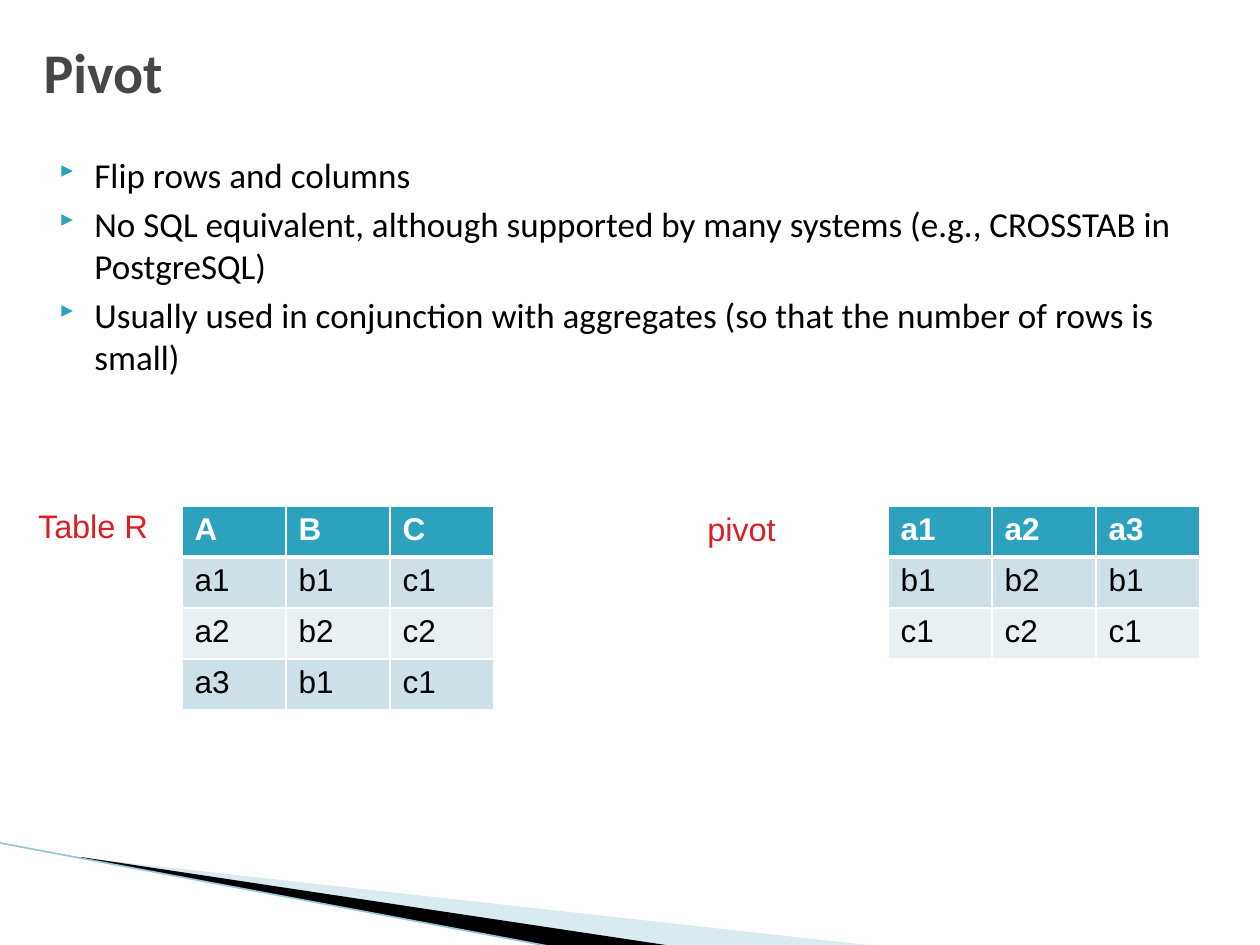
from lxml.etree import SubElement
from pptx import Presentation
from pptx.dml.color import RGBColor
from pptx.enum.shapes import MSO_CONNECTOR
from pptx.enum.text import MSO_ANCHOR, MSO_AUTO_SIZE, PP_ALIGN
from pptx.oxml.ns import qn
from pptx.util import Pt

PX = 914400 / 126
COLORS = {
    "accent": "2DA2BF", "title": "464646", "text": "000000", "label": "DA1F28",
    "white": "FFFFFF", "band_dark": "CDE0E8", "band_light": "E8F0F4",
    "swoosh": "A0CBDC", "edge": "97C5D8",
}
BULLETS = [
    "Flip rows and columns",
    "No SQL equivalent, although supported by many systems (e.g., CROSSTAB in PostgreSQL)",
    "Usually used in conjunction with aggregates (so that the number of rows is small)",
]
TABLE_R = ["A B C", "a1 b1 c1", "a2 b2 c2", "a3 b1 c1"]
PIVOTED = ["a1 a2 a3", "b1 b2 b1", "c1 c2 c1"]


def px(*lengths):
    """Turn pixel lengths into EMU."""
    return [round(length * PX) for length in lengths]


def rgb(name):
    """Look up a named colour."""
    return RGBColor.from_string(COLORS[name])


def write(paragraph, text, size=18, font="Arial", color="text", bold=False,
          align=PP_ALIGN.LEFT, raised=0):
    """Add formatted text to a paragraph."""
    paragraph.alignment = align
    run = paragraph.add_run()
    run.text = text
    run.font.size, run.font.name, run.font.bold = Pt(size), font, bold
    run.font.color.rgb = rgb(color)
    if raised:
        run.font._element.set("baseline", str(raised * 1000))


def add_bullet(paragraph):
    """Give a paragraph a hanging triangle bullet."""
    properties = paragraph._p.get_or_add_pPr()
    margin, hanging = px(50, 35)
    properties.set("marL", str(margin))
    properties.set("indent", str(-hanging))
    color = SubElement(properties, qn("a:buClr"))
    SubElement(color, qn("a:srgbClr"), val=COLORS["accent"])
    SubElement(properties, qn("a:buSzPct"), val="68000")
    SubElement(properties, qn("a:buFont"), typeface="Wingdings 3", charset="2")
    SubElement(properties, qn("a:buChar"), char="}")


def add_body(slide):
    """Add the bulleted list."""
    frame = slide.shapes.add_textbox(*px(32, 147, 1165, 703)).text_frame
    frame.word_wrap = True
    for index, text in enumerate(BULLETS):
        paragraph = frame.add_paragraph() if index else frame.paragraphs[0]
        add_bullet(paragraph)
        if index:
            paragraph.space_before = Pt(4)
        write(paragraph, text, size=20, font="Calibri")


def add_title(slide, text):
    """Place and format the slide title."""
    title = slide.shapes.title
    title.left, title.top, title.width, title.height = px(31, 21, 1165, 101)
    title.text_frame.vertical_anchor = MSO_ANCHOR.MIDDLE
    write(title.text_frame.paragraphs[0], text, size=32, font="Calibri",
          color="title", bold=True)


def add_label(slide, text, left, top, width):
    """Add a raised red label beside a table."""
    frame = slide.shapes.add_textbox(*px(left, top, width, 58)).text_frame
    frame.word_wrap = False
    frame.auto_size = MSO_AUTO_SIZE.SHAPE_TO_FIT_TEXT
    frame.vertical_anchor = MSO_ANCHOR.MIDDLE
    write(frame.paragraphs[0], text, size=32, color="label",
          align=PP_ALIGN.CENTER, raised=30)


def add_border(cell, side, width):
    """Draw one white cell border."""
    line = SubElement(cell._tc.get_or_add_tcPr(), qn(f"a:ln{side}"), w=str(Pt(width)))
    fill = SubElement(line, qn("a:solidFill"))
    SubElement(fill, qn("a:srgbClr"), val=COLORS["white"])


def add_grid(slide, rows, left, top):
    """Add a banded table with a header row."""
    cells = [row.split() for row in rows]
    column_count = len(cells[0])
    table = slide.shapes.add_table(
        len(rows), column_count, *px(left, top, 104 * column_count, 51 * len(rows))).table
    for r, values in enumerate(cells):
        header = r == 0
        fill = "accent" if header else "band_dark" if r % 2 else "band_light"
        for c, value in enumerate(values):
            cell = table.cell(r, c)
            for side in "LRTB":
                under_header = (r, side) in ((0, "B"), (1, "T"))
                add_border(cell, side, 3 if under_header else 1)
            cell.fill.solid()
            cell.fill.fore_color.rgb = rgb(fill)
            write(cell.text_frame.paragraphs[0], value, bold=header,
                  color="white" if header else "text")


def set_frame(wedge, left, top, width, height):
    """Give a wedge a frame of its own while its outline stays in place."""
    shift_x, shift_y = wedge.left - px(left)[0], wedge.top - px(top)[0]
    wedge.left, wedge.top, wedge.width, wedge.height = px(left, top, width, height)
    outline = next(wedge._element.iter(qn("a:path")))
    scale = PX if int(outline.get("w")) < 10000 else 1
    for point in outline.iter(qn("a:pt")):
        point.set("x", str(round(int(point.get("x")) + shift_x / scale)))
        point.set("y", str(round(int(point.get("y")) + shift_y / scale)))
    outline.set("w", str(round(wedge.width / scale)))
    outline.set("h", str(round(wedge.height / scale)))


def add_wedge(slide, points, frame, color, opacity=100):
    """Add a filled corner wedge without an outline."""
    builder = slide.shapes.build_freeform(*points[0], scale=PX)
    builder.add_line_segments(points[1:], close=True)
    wedge = builder.convert_to_shape()
    set_frame(wedge, *frame)
    wedge.shadow.inherit = False
    wedge.line.fill.background()
    wedge.fill.solid()
    wedge.fill.fore_color.rgb = rgb(color)
    if opacity < 100:
        tint = wedge._element.spPr.find(qn("a:solidFill"))[0]
        SubElement(tint, qn("a:alpha"), val=str(opacity * 1000))


def add_edge(slide, *ends):
    """Add the thin line along the wedges."""
    edge = slide.shapes.add_connector(MSO_CONNECTOR.STRAIGHT, *px(*ends))
    edge.line.color.rgb = rgb("edge")
    edge.line.width = Pt(0.95)
    SubElement(edge._element.spPr, qn("a:effectLst"))


def main():
    """Build the slide and save it."""
    deck = Presentation()
    deck.slide_width, deck.slide_height = px(1260, 945)
    slide = deck.slides.add_slide(deck.slide_layouts[5])
    add_wedge(slide, [(82, 858), (885, 947), (678, 947), (83, 858)],
              (117, 766, 617, 140), "swoosh", opacity=40)
    add_wedge(slide, [(81, 857), (679, 947), (553, 947), (82, 858)],
              (-8, 842, 617, 81), "text")
    add_edge(slide, 0, 843, 553, 947)
    add_body(slide)
    add_title(slide, "Pivot")
    add_label(slide, "Table R", 16, 504, 154)
    add_grid(slide, TABLE_R, 182, 506)
    add_grid(slide, PIVOTED, 888, 506)
    add_label(slide, "pivot", 689, 507, 105)
    deck.save("out.pptx")


if __name__ == "__main__":
    main()
